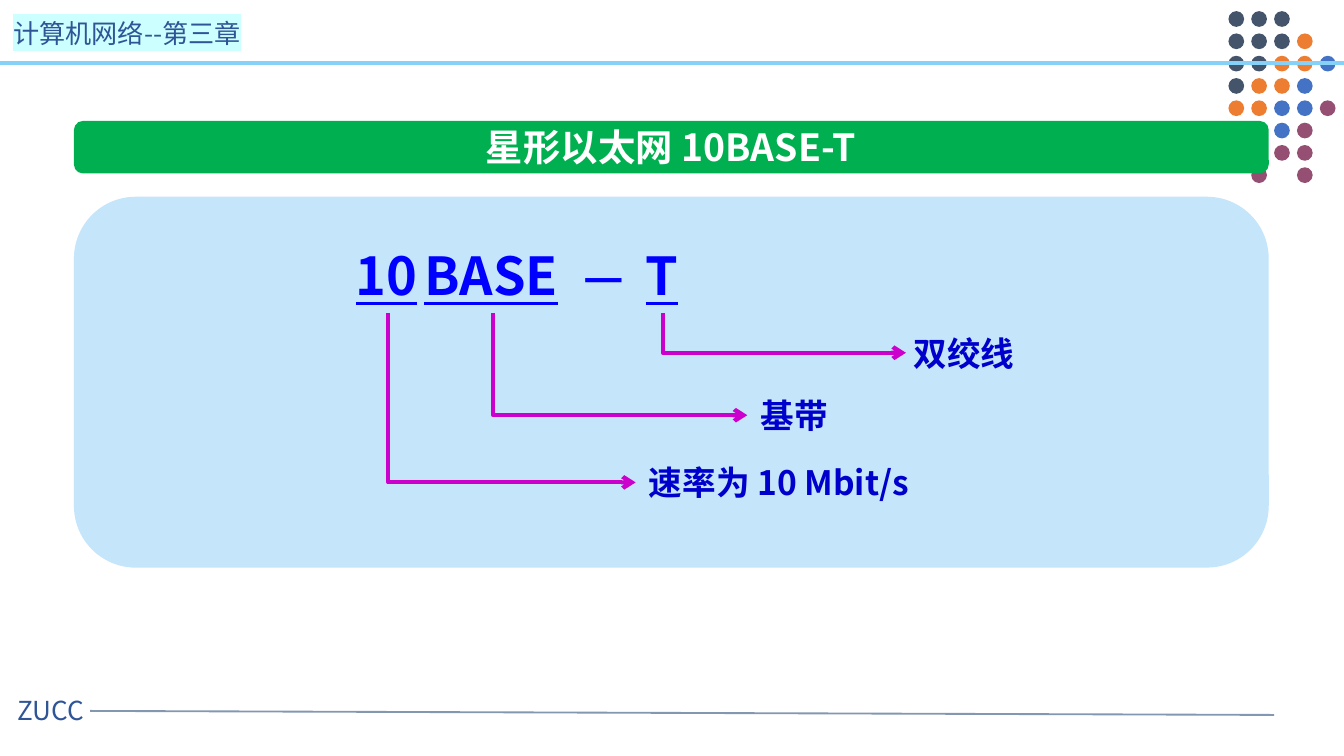
from dataclasses import dataclass

from lxml import etree
from pptx import Presentation
from pptx.dml.color import RGBColor
from pptx.enum.shapes import MSO_CONNECTOR as Connector, MSO_SHAPE as Shape
from pptx.enum.text import MSO_AUTO_SIZE as AutoSize, PP_ALIGN as Align
from pptx.oxml.ns import qn
from pptx.util import Emu, Pt

CELL = 91440  # a tenth of an inch: the slide is 100 columns by 56.25 rows
COLUMNS, ROWS = 100, 56.25


@dataclass(frozen=True)
class Theme:
    font: str = "Noto Sans CJK SC"
    navy: str = "2F5597"
    highlight: str = "CCFFFF"
    rule: str = "8497B0"
    sky: str = "85D1F7"
    panel: str = "C5E5FB"
    banner: str = "00B050"
    white: str = "FFFFFF"
    term: str = "0000FF"
    meaning: str = "0000CC"
    arrow: str = "CC00CC"
    small: int = 14
    label: int = 18
    title: int = 20
    dash: int = 24
    big: int = 28


THEME = Theme()
DOT_COLORS = {"s": "44546A", "o": "ED7D31", "b": "4472C4", "p": "954F72"}
DOT_ROWS = ["sss", "ssso", "ssoob", "soob", "oobbp", "obbp", " bpp", " p p"]


def grid(value):
    return Emu(round(value * CELL))


def write(frame, text, *, size, color, bold=False, underline=False,
          align=Align.LEFT, highlight=None):
    paragraph = frame.paragraphs[0]
    paragraph.alignment = align
    run = paragraph.add_run()
    run.text = text
    font = run.font
    font.size, font.bold, font.underline = Pt(size), bold, underline
    font.color.rgb = RGBColor.from_string(color)
    font.name = THEME.font
    latin = font._element.find(qn("a:latin"))
    if highlight:
        mark = etree.Element(qn("a:highlight"))
        etree.SubElement(mark, qn("a:srgbClr"), val=highlight)
        latin.addprevious(mark)
    east_asian = etree.Element(qn("a:ea"), typeface=THEME.font)
    latin.addnext(east_asian)


class SlideBuilder:
    def __init__(self, slide):
        self.shapes = slide.shapes

    def filled(self, kind, left, top, width, height, color, corner=None):
        shape = self.shapes.add_shape(kind, *map(grid, (left, top, width, height)))
        shape.shadow.inherit = False
        shape.fill.solid()
        shape.fill.fore_color.rgb = RGBColor.from_string(color)
        shape.line.fill.background()
        if corner is not None:
            shape.adjustments[0] = corner

    def text(self, text, left, top, width, height, wrap=False, **style):
        box = self.shapes.add_textbox(*map(grid, (left, top, width, height)))
        frame = box.text_frame
        frame.word_wrap = wrap
        frame.auto_size = AutoSize.SHAPE_TO_FIT_TEXT
        write(frame, text, **style)

    def line(self, x1, y1, x2, y2, color, weight, kind=Connector.STRAIGHT):
        connector = self.shapes.add_connector(kind, *map(grid, (x1, y1, x2, y2)))
        connector.line.color.rgb = RGBColor.from_string(color)
        connector.line.width = Pt(weight)
        etree.SubElement(connector._element.spPr, qn("a:effectLst"))
        return connector

    def elbow_arrow(self, x1, y1, x2, y2):
        """Run down from the start, then right to an arrowhead at the end."""
        # A one-bend connector turns right first, so it is mirrored and turned by 270°.
        middle_x, middle_y = (x1 + x2) / 2, (y1 + y2) / 2
        half_run, half_drop = (x2 - x1) / 2, (y2 - y1) / 2
        connector = self.line(middle_x + half_drop, middle_y - half_run,
                              middle_x - half_drop, middle_y + half_run,
                              THEME.arrow, 2.25, Connector.ELBOW)
        properties = connector._element.spPr
        properties.find(qn("a:prstGeom")).set("prst", "bentConnector2")
        properties.find(qn("a:xfrm")).set("rot", str(270 * 60000))
        etree.SubElement(properties.find(qn("a:ln")), qn("a:tailEnd"), type="arrow")

    def dots(self, left, top, column_step, row_step):
        for row, codes in enumerate(DOT_ROWS):
            for column, code in enumerate(codes):
                if code in DOT_COLORS:
                    self.filled(Shape.OVAL, left + column * column_step,
                                top + row * row_step, 1.17, 1.17, DOT_COLORS[code])


def build_frame(page):
    page.line(0.2, 4.7, 90.5, 4.7, THEME.rule, 1)
    page.line(6.7, 52.9, 94.8, 53.2, THEME.rule, 1)
    page.text("ZUCC", 0.3, 51.2, 8.9, 3.4, wrap=True,
              size=THEME.small, color=THEME.navy)
    page.text("计算机网络--第三章", 0, 0.84, 21.6, 3.4, wrap=True, size=THEME.small,
              color=THEME.navy, highlight=THEME.highlight)
    page.dots(91.4, 0.83, 1.7, 1.66)
    page.line(0, 4.7, COLUMNS, 4.7, THEME.sky, 2)


def build_content(page):
    page.filled(Shape.ROUNDED_RECTANGLE, 5.5, 14.64, 88.9, 27.6, THEME.panel)
    page.filled(Shape.ROUNDED_RECTANGLE, 5.5, 9, 88.9, 3.9, THEME.banner, corner=0.17)
    page.text("星形以太网 10BASE-T", 34.64, 8.74, 30.6, 4.4, size=THEME.title,
              color=THEME.white, bold=True, align=Align.CENTER)

    terms = [("10", 25.5, 6.9, Align.LEFT), ("BASE", 30.6, 12.3, Align.LEFT),
             ("T", 47, 4.5, Align.CENTER)]
    for term, left, width, align in terms:
        page.text(term, left, 17.6, width, 5.7, size=THEME.big, color=THEME.term,
                  bold=True, underline=True, align=align)
    page.text("—", 42.4, 18, 3.8, 5, wrap=True, size=THEME.dash,
              color=THEME.term, bold=True)

    meanings = [("双绞线", 49.3, 67.4, 26.25, 67, 9.6),
                ("基带", 36.7, 55.6, 30.9, 55.6, 7.1),
                ("速率为 10 Mbit/s", 28.9, 47.3, 35.9, 47.3, 23.5)]
    for meaning, start, tip, level, left, width in meanings:
        page.elbow_arrow(start, 23.3, tip, level)
        page.text(meaning, left, level - 2, width, 4, size=THEME.label,
                  color=THEME.meaning, bold=True)


def main():
    deck = Presentation()
    deck.slide_width, deck.slide_height = grid(COLUMNS), grid(ROWS)
    page = SlideBuilder(deck.slides.add_slide(deck.slide_layouts[6]))
    build_frame(page)
    build_content(page)
    deck.save("out.pptx")


if __name__ == "__main__":
    main()
